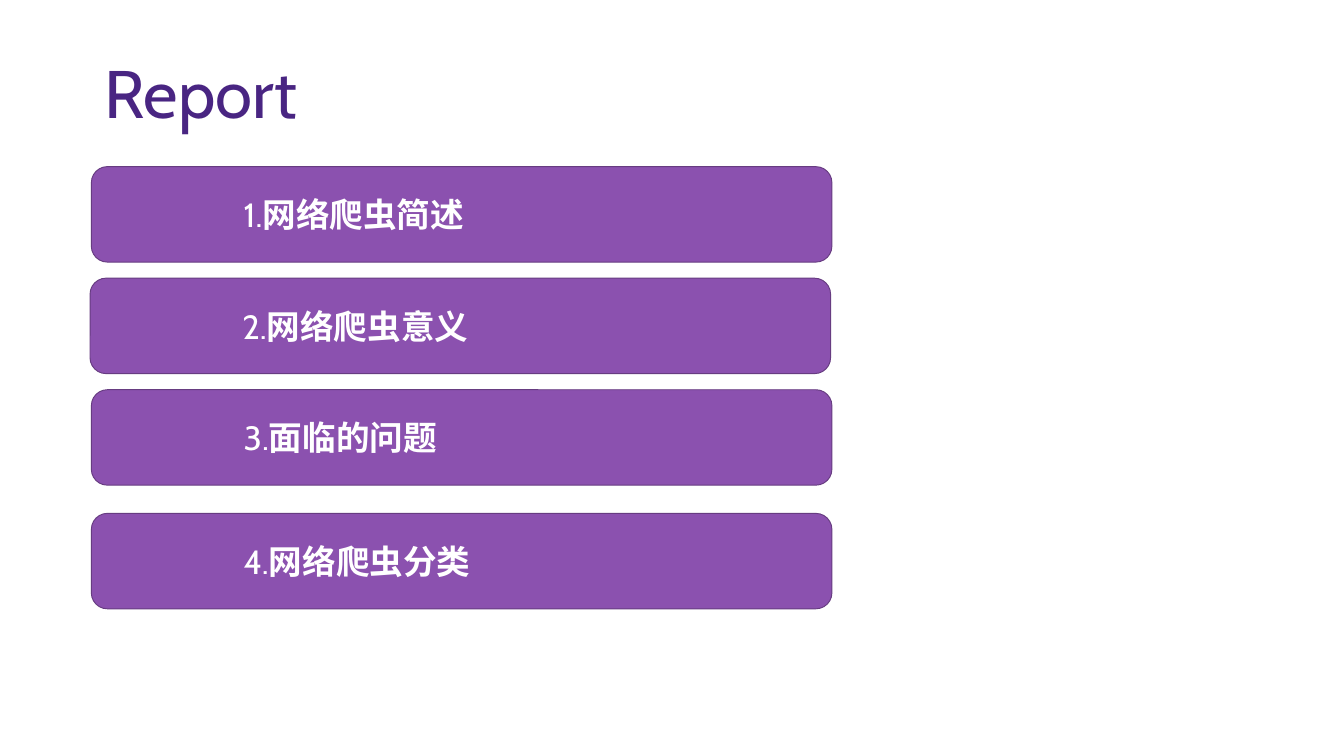
from pptx import Presentation
from pptx.dml.color import RGBColor
from pptx.enum.shapes import MSO_SHAPE
from pptx.enum.text import MSO_ANCHOR, MSO_AUTO_SIZE, PP_ALIGN
from pptx.util import Inches, Pt

INDIGO = RGBColor(0x49, 0x25, 0x82)
PURPLE = RGBColor(0x8B, 0x51, 0xAF)
DARK_PURPLE = RGBColor(0x67, 0x3C, 0x81)
WHITE = RGBColor(0xFF, 0xFF, 0xFF)

AGENDA = [
    (0.68, 1.24, "网络爬虫简述"),
    (0.67, 2.07, "网络爬虫意义"),
    (0.68, 2.9, "面临的问题"),
    (0.68, 3.82, "网络爬虫分类"),
]


class AgendaSlide:
    """Hold the style and the current slide, and add its elements."""

    font_name = "Cabin"
    bar_width = Inches(5.51)
    bar_height = Inches(0.71)
    tab_size = Inches(1)

    def __init__(self, presentation):
        self.slide = presentation.slides.add_slide(presentation.slide_layouts[5])

    def style_paragraph(self, paragraph, size, color):
        paragraph.alignment = PP_ALIGN.LEFT
        paragraph.font.name = self.font_name
        paragraph.font.size = Pt(size)
        paragraph.font.color.rgb = color

    def add_title(self, text):
        title = self.slide.shapes.title
        title.left, title.top = Inches(0.68), Inches(0.25)
        title.width, title.height = Inches(4.65), Inches(0.87)
        frame = title.text_frame
        frame.text = text
        frame.auto_size = MSO_AUTO_SIZE.NONE
        frame.vertical_anchor = MSO_ANCHOR.MIDDLE
        paragraph = frame.paragraphs[0]
        paragraph.space_before = Pt(8)
        self.style_paragraph(paragraph, 36, INDIGO)

    def add_bar(self, left, top, number, topic):
        shape = self.slide.shapes.add_shape(
            MSO_SHAPE.ROUNDED_RECTANGLE,
            Inches(left), Inches(top), self.bar_width, self.bar_height,
        )
        shape.shadow.inherit = False
        shape.fill.solid()
        shape.fill.fore_color.rgb = PURPLE
        shape.line.color.rgb = DARK_PURPLE
        shape.line.width = Pt(0.5)
        shape.text_frame.vertical_anchor = MSO_ANCHOR.MIDDLE
        paragraph = shape.text_frame.paragraphs[0]
        self.style_paragraph(paragraph, 18, WHITE)
        paragraph._p.get_or_add_pPr().set("defTabSz", str(int(self.tab_size)))
        paragraph.add_run().text = f"\t{number}."
        topic_run = paragraph.add_run()
        topic_run.text = topic
        topic_run.font.bold = True


def main():
    presentation = Presentation()
    presentation.slide_width = Inches(10)
    presentation.slide_height = presentation.slide_width * 9 // 16
    agenda_slide = AgendaSlide(presentation)
    agenda_slide.add_title("Report")
    for number, (left, top, topic) in enumerate(AGENDA, start=1):
        agenda_slide.add_bar(left, top, number, topic)
    presentation.save("out.pptx")


if __name__ == "__main__":
    main()
